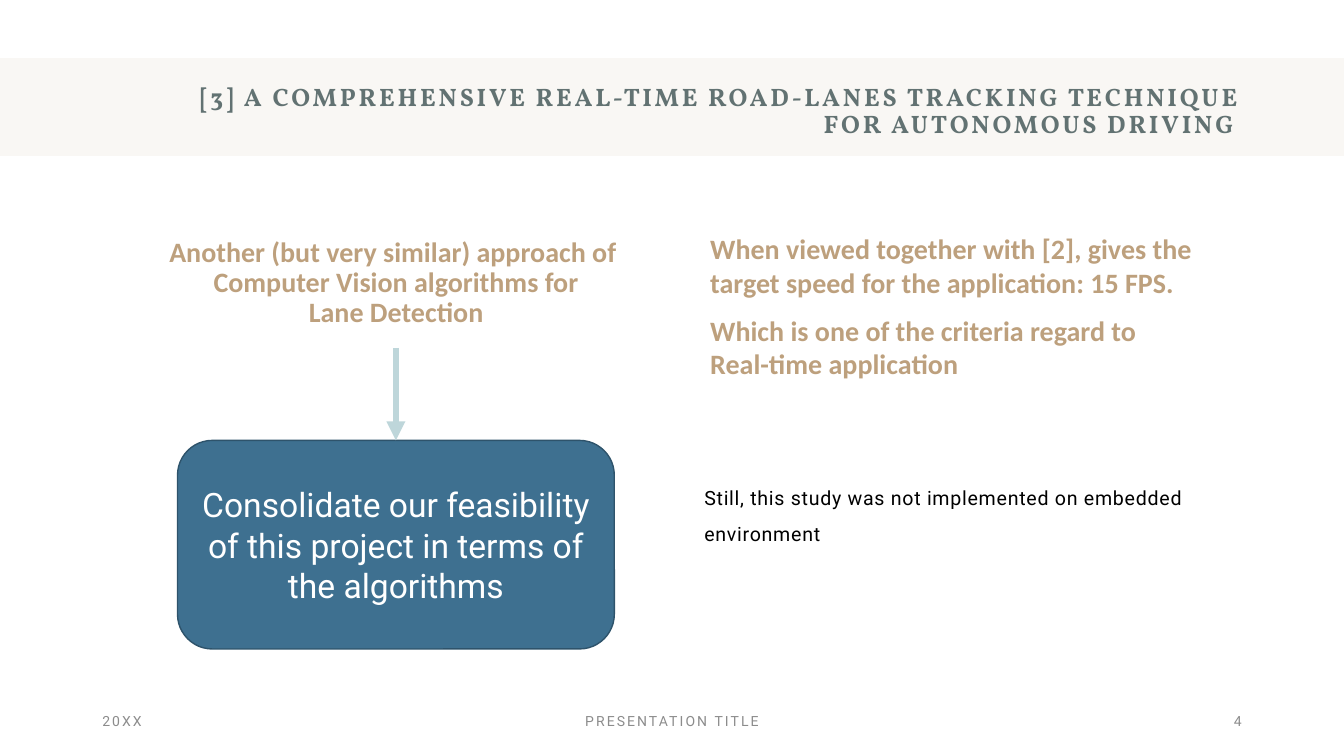
from dataclasses import dataclass

import lxml.etree
import pptx
import pptx.dml.color
import pptx.enum.shapes
import pptx.enum.text
import pptx.oxml.ns
import pptx.util

Pt = pptx.util.Pt
Align = pptx.enum.text.PP_ALIGN
Anchor = pptx.enum.text.MSO_ANCHOR
Shape = pptx.enum.shapes.MSO_SHAPE


@dataclass(frozen=True)
class TextStyle:
    font: str
    size: float
    color: str
    bold: bool = False
    tracking: float = 0


@dataclass(frozen=True)
class Theme:
    band: str = "D8CAB7"
    band_opacity: int = 15
    card: str = "3E7090"
    card_edge: str = "2E536B"
    arrow: str = "BED6DA"
    title: TextStyle = TextStyle("Vollkorn", 18, "627272", True, 2)
    point: TextStyle = TextStyle("Calibri", 20, "BDA07D", True)
    note: TextStyle = TextStyle("Roboto", 14, "000000", False, 0.5)
    card_text: TextStyle = TextStyle("Roboto", 24, "FFFFFF")
    footer: TextStyle = TextStyle("Roboto", 10, "8C8C8C", False, 1.5)


@dataclass(frozen=True)
class TextBlock:
    left: float
    top: float
    width: float
    height: float
    paragraphs: tuple[str, ...]
    style: TextStyle
    align: Align = Align.LEFT
    anchor: Anchor = Anchor.TOP
    line_spacing: float = 1.0
    space_before: float = 0
    space_after: float = 0
    bottom_inset: float = 3.6


THEME = Theme()
SLIDE_WIDTH, SLIDE_HEIGHT = 960, 540
MARGIN = 66
FOOTER_TOP, FOOTER_HEIGHT = 500.4, 28.8
CARD_LEFT, CARD_TOP, CARD_WIDTH, CARD_HEIGHT = 126.8, 314.6, 312, 149
ARROW_TOP = 248.4

BLOCKS = (
    TextBlock(MARGIN, 42.5, SLIDE_WIDTH - 2 * MARGIN, 57,
              ("[3] A COMPREHENSIVE REAL-TIME ROAD-LANES TRACKING TECHNIQUE\v"
               "FOR AUTONOMOUS DRIVING ",),
              THEME.title, Align.RIGHT, Anchor.BOTTOM, 0.9, bottom_inset=0),
    TextBlock(500.2, 162, 364.3, 202.3,
              ("When viewed together with [2], gives the target speed "
               "for the application: 15 FPS.",
               "Which is one of the criteria regard to\vReal-time application"),
              THEME.point, space_before=10),
    TextBlock(496, 335.5, 364.3, 64.8,
              ("Still, this study was not implemented on embedded environment",),
              THEME.note, line_spacing=1.5, space_after=12),
    TextBlock(100.8, 166.3, 364.3, 82,
              ("Another (but very similar) approach of \v"
               "Computer Vision algorithms for\vLane Detection",),
              THEME.point, Align.CENTER, line_spacing=0.9, space_before=10),
    TextBlock(MARGIN, FOOTER_TOP, 216, FOOTER_HEIGHT, ("20XX",),
              THEME.footer, Align.LEFT, Anchor.MIDDLE),
    TextBlock(318, FOOTER_TOP, 324, FOOTER_HEIGHT, ("PRESENTATION TITLE",),
              THEME.footer, Align.CENTER, Anchor.MIDDLE),
    TextBlock(678, FOOTER_TOP, 216, FOOTER_HEIGHT, ("4",),
              THEME.footer, Align.RIGHT, Anchor.MIDDLE),
)
CARD_BLOCK = TextBlock(CARD_LEFT, CARD_TOP, CARD_WIDTH, CARD_HEIGHT,
                       ("Consolidate our feasibility of this project "
                        "in terms of the algorithms",),
                       THEME.card_text, Align.CENTER, Anchor.MIDDLE)


def rgb(value: str) -> pptx.dml.color.RGBColor:
    return pptx.dml.color.RGBColor.from_string(value)


def add_child(parent, tag: str, **attributes: str) -> None:
    child = lxml.etree.SubElement(parent, pptx.oxml.ns.qn(tag))
    for name, value in attributes.items():
        child.set(name, value)


def write_text(box, block: TextBlock) -> None:
    frame = box.text_frame
    frame.word_wrap = True
    frame.vertical_anchor = block.anchor
    frame.margin_bottom = Pt(block.bottom_inset)
    frame.text = "\n".join(block.paragraphs)
    style = block.style
    for para in frame.paragraphs:
        para.alignment = block.align
        para.line_spacing = block.line_spacing
        para.space_before = Pt(block.space_before)
        para.space_after = Pt(block.space_after)
        for span in para.runs:
            span.font.name = style.font
            span.font.size = Pt(style.size)
            span.font.bold = style.bold
            span.font.color.rgb = rgb(style.color)
            if style.tracking:
                span.font._element.set("spc", str(int(style.tracking * 100)))


def add_text(page, block: TextBlock) -> None:
    box = page.shapes.add_textbox(Pt(block.left), Pt(block.top),
                                  Pt(block.width), Pt(block.height))
    write_text(box, block)


def add_panel(page, kind: Shape, left: float, top: float, width: float,
              height: float, color: str):
    panel = page.shapes.add_shape(kind, Pt(left), Pt(top), Pt(width), Pt(height))
    panel.shadow.inherit = False
    panel.fill.solid()
    panel.fill.fore_color.rgb = rgb(color)
    return panel


def add_arrow(page, x: float, top: float, bottom: float) -> None:
    arrow = page.shapes.add_connector(pptx.enum.shapes.MSO_CONNECTOR.STRAIGHT,
                                      Pt(x), Pt(top), Pt(x), Pt(bottom))
    arrow.line.color.rgb = rgb(THEME.arrow)
    arrow.line.width = Pt(4.5)
    add_child(arrow.line._get_or_add_ln(), "a:tailEnd", type="triangle")
    add_child(arrow._element.spPr, "a:effectLst")


def main() -> None:
    deck = pptx.Presentation()
    deck.slide_width, deck.slide_height = Pt(SLIDE_WIDTH), Pt(SLIDE_HEIGHT)
    page = deck.slides.add_slide(deck.slide_layouts[6])

    # Translucent band behind the title
    band = add_panel(page, Shape.RECTANGLE, 0, 41.6, SLIDE_WIDTH, 69.8, THEME.band)
    band.line.fill.background()
    band_color = band._element.spPr.find(".//" + pptx.oxml.ns.qn("a:srgbClr"))
    add_child(band_color, "a:alpha", val=str(THEME.band_opacity * 1000))

    # Title, statements and footer
    for block in BLOCKS:
        add_text(page, block)

    # Conclusion card and the arrow leading to it
    card = add_panel(page, Shape.ROUNDED_RECTANGLE, CARD_LEFT, CARD_TOP,
                     CARD_WIDTH, CARD_HEIGHT, THEME.card)
    card.line.color.rgb = rgb(THEME.card_edge)
    card.line.width = Pt(1)
    write_text(card, CARD_BLOCK)
    add_arrow(page, CARD_LEFT + CARD_WIDTH / 2, ARROW_TOP, CARD_TOP)

    deck.save("out.pptx")


if __name__ == "__main__":
    main()
